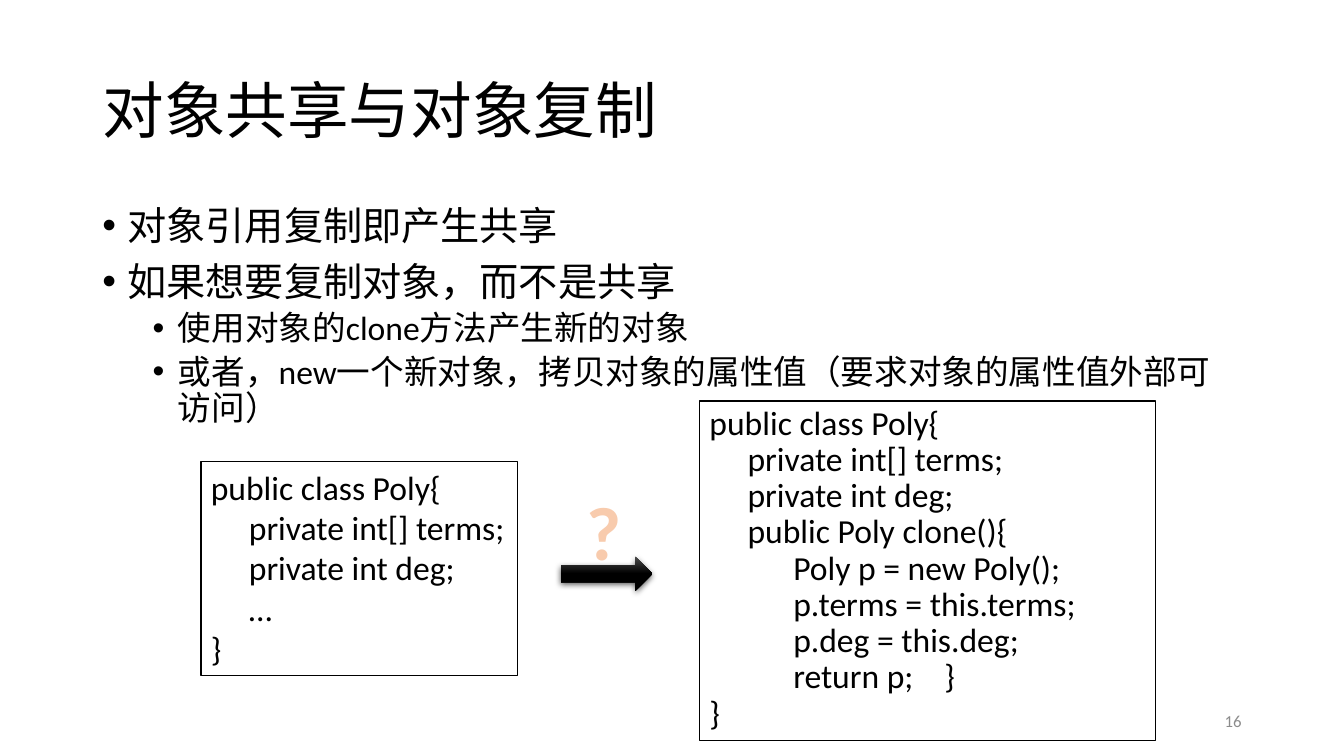
from lxml import etree
from pptx import Presentation
from pptx.dml.color import RGBColor
from pptx.enum.shapes import MSO_SHAPE
from pptx.enum.text import MSO_ANCHOR, PP_ALIGN
from pptx.oxml.ns import qn
from pptx.util import Pt

RECTANGLE, RIGHT_ARROW = MSO_SHAPE.RECTANGLE, MSO_SHAPE.RIGHT_ARROW
TOP, MIDDLE = MSO_ANCHOR.TOP, MSO_ANCHOR.MIDDLE
LEFT, CENTER, RIGHT = PP_ALIGN.LEFT, PP_ALIGN.CENTER, PP_ALIGN.RIGHT
TITLE_ONLY = 5


def color(value):
    return RGBColor.from_string(value)


def add_xml(parent, tag, **attributes):
    values = {name: str(value) for name, value in attributes.items()}
    return etree.SubElement(parent, qn(tag), values)


class SlideBuilder:
    font = "Calibri"
    ink = "000000"
    paper = "FFFFFF"
    code_indent = 27.2
    body_indent = 36
    hanging = 18

    def __init__(self, presentation):
        self.slide = presentation.slides.add_slide(presentation.slide_layouts[TITLE_ONLY])

    def place(self, shape, box):
        shape.left, shape.top, shape.width, shape.height = map(Pt, box)

    def format(self, paragraph, size, fill=None, align=LEFT, spacing=1.0, before=0, bold=False):
        paragraph.alignment = align
        paragraph.line_spacing = spacing
        paragraph.space_before = Pt(before)
        for run in paragraph.runs:
            run.font.name = self.font
            run.font.size = Pt(size)
            run.font.bold = bold
            run.font.color.rgb = color(fill or self.ink)

    def title(self, text, box):
        title = self.slide.shapes.title
        self.place(title, box)
        title.text_frame.text = text
        title.text_frame.vertical_anchor = MIDDLE
        self.format(title.text_frame.paragraphs[0], 44, spacing=0.9)

    def text(self, text, box, size, anchor=TOP, wrap=True, **style):
        shape = self.slide.shapes.add_textbox(*map(Pt, box))
        frame = shape.text_frame
        frame.word_wrap = wrap
        frame.vertical_anchor = anchor
        frame.text = text
        self.format(frame.paragraphs[0], size, **style)
        return frame.paragraphs[0]

    def outlined_text(self, text, box, size, outline, width, **style):
        paragraph = self.text(text, box, size, wrap=False, **style)
        properties = paragraph.runs[0].font._element
        line = etree.Element(qn("a:ln"), {"w": str(Pt(width))})
        add_xml(add_xml(line, "a:solidFill"), "a:srgbClr", val=outline)
        properties.insert(0, line)

    def bullets(self, items, box):
        frame = self.slide.shapes.add_textbox(*map(Pt, box)).text_frame
        frame.word_wrap = True
        frame.text = "\n".join(text for level, text in items)
        for paragraph, (level, text) in zip(frame.paragraphs, items):
            paragraph.level = level
            self.format(paragraph, 28 - 4 * level, spacing=0.9, before=10 - 5 * level)
            properties = paragraph._p.get_or_add_pPr()
            properties.set("marL", str(Pt(self.hanging + self.body_indent * level)))
            properties.set("indent", str(Pt(-self.hanging)))
            add_xml(properties, "a:buFont", typeface="Arial")
            add_xml(properties, "a:buChar", char="•")

    def code(self, lines, box, spacing=1.0, tab=None):
        shape = self.slide.shapes.add_shape(RECTANGLE, *map(Pt, box))
        shape.shadow.inherit = False
        shape.fill.solid()
        shape.fill.fore_color.rgb = color(self.paper)
        shape.line.color.rgb = color(self.ink)
        shape.line.width = Pt(1)
        frame = shape.text_frame
        frame.word_wrap = True
        frame.margin_right = 0
        frame.vertical_anchor = TOP
        frame.text = "\n".join(text for depth, text in lines)
        for paragraph, (depth, text) in zip(frame.paragraphs, lines):
            self.format(paragraph, 24, spacing=spacing)
            properties = paragraph._p.get_or_add_pPr()
            properties.set("marL", str(Pt(self.code_indent * depth)))
            properties.set("indent", "0")
            if "\t" in text:
                stops = add_xml(properties, "a:tabLst")
                add_xml(stops, "a:tab", pos=Pt(tab), algn="l")

    def arrow(self, box, highlight):
        shape = self.slide.shapes.add_shape(RIGHT_ARROW, *map(Pt, box))
        shape.line.fill.background()
        shape.fill.gradient()
        shape.fill.gradient_angle = 270
        stops = zip(shape.fill.gradient_stops, (0, 0.5), (highlight, self.ink))
        for stop, position, value in stops:
            stop.position = position
            stop.color.rgb = color(value)
        shape.shadow.inherit = False
        effects = shape._element.spPr.find(qn("a:effectLst"))
        shadow = add_xml(effects, "a:outerShdw", blurRad=Pt(4.5), dist=Pt(1.5),
                         dir=5400000, rotWithShape=0)
        add_xml(add_xml(shadow, "a:srgbClr", val=self.ink), "a:alpha", val=63000)


def main():
    presentation = Presentation()
    presentation.slide_width = Pt(960)
    presentation.slide_height = Pt(540)
    builder = SlideBuilder(presentation)

    builder.title("对象共享与对象复制", (66, 28.75, 828, 104.4))
    builder.bullets([
        (0, "对象引用复制即产生共享"),
        (0, "如果想要复制对象，而不是共享"),
        (1, "使用对象的clone方法产生新的对象"),
        (1, "或者，new一个新对象，拷贝对象的属性值（要求对象的属性值外部可访问）"),
    ], (66, 143.75, 828, 199.5))

    fields = [
        (0, "public class Poly{"),
        (1, "private int[] terms;"),
        (1, "private int deg;"),
    ]
    builder.code(fields + [(1, "…"), (0, "}")], (143.5, 329.75, 226, 152.75))
    builder.code(fields + [
        (1, "public Poly clone(){"),
        (2.2, "Poly p = new Poly();"),
        (2.2, "p.terms = this.terms;"),
        (2.2, "p.deg = this.deg;"),
        (2.2, "return p;\t}"),
        (0, "}"),
    ], (499.7, 286.5, 325.5, 242.7), spacing=0.9, tab=173)

    builder.arrow((400.5, 397.5, 65.5, 24.5), "4B4B4B")
    builder.outlined_text("?", (412, 342.75, 39.6, 72.7), 54, "ED7D31", 1.75,
                          fill="F8CBAD", align=CENTER, bold=True)
    builder.text("16", (678, 500.5, 216, 28.75), 12, anchor=MIDDLE,
                 fill="8C8C8C", align=RIGHT)
    presentation.save("out.pptx")


if __name__ == "__main__":
    main()
